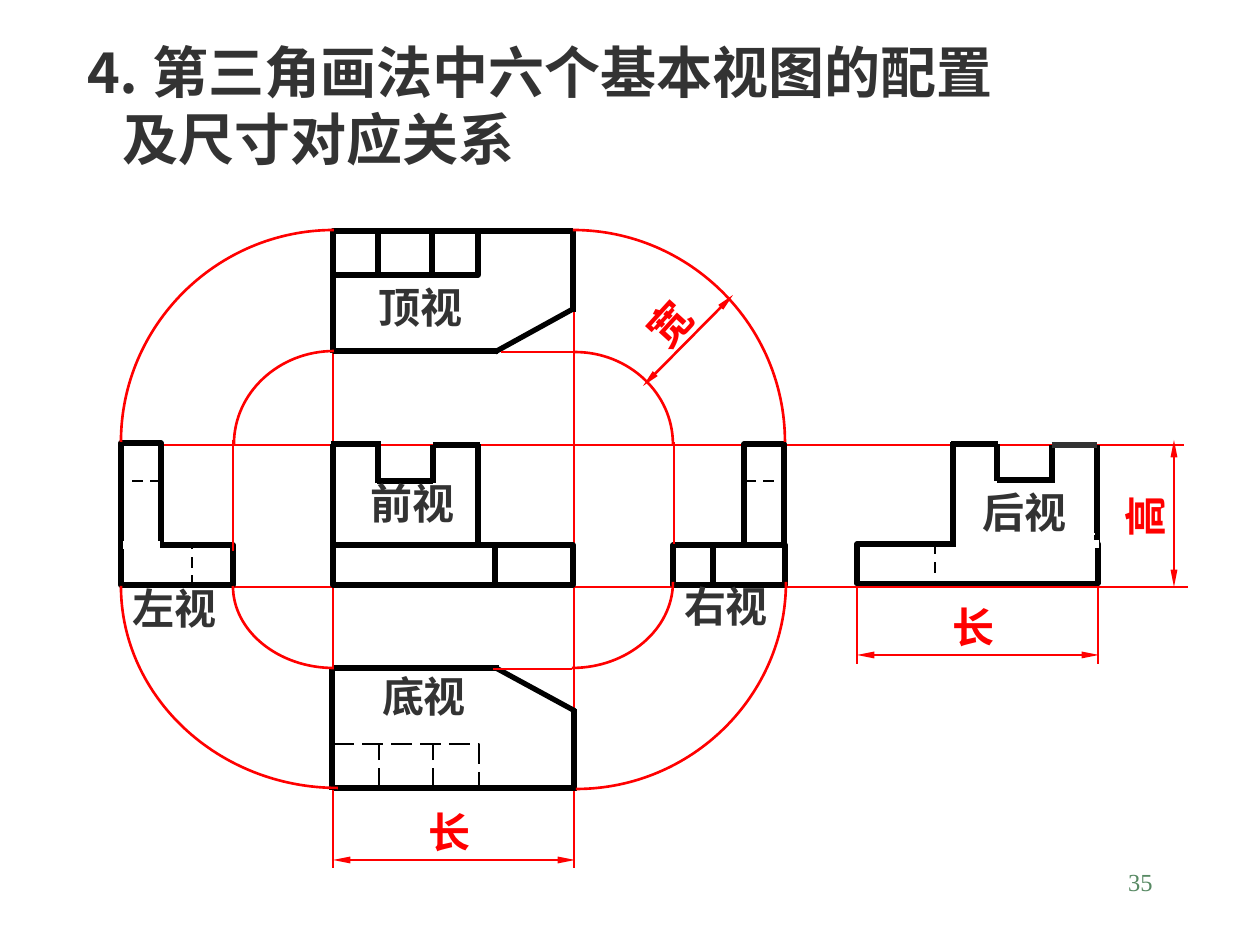
from lxml import etree
from pptx import Presentation
from pptx import util as u
from pptx.dml.color import RGBColor
from pptx.enum import dml, shapes, text
from pptx.oxml.ns import qn

PX = 914400 / 126
BEND = 0.55
DASHES = {"dash": dml.MSO_LINE.DASH, "long": dml.MSO_LINE.LONG_DASH}


def px(n):
    """Turn px into EMU."""
    return u.Emu(round(n * PX))


def rgb(value):
    """Turn a hex string into a colour."""
    return RGBColor.from_string(value)


class Drawing:
    """Hold the style and the current slide."""

    red, black, white, ink, green = "FF0000", "000000", "FFFFFF", "333333", "578963"
    thin, thick, mask = 1.5, 3, 4.5

    def __init__(self, slide):
        """Start drawing on a slide."""
        self.shapes = slide.shapes

    def stroke(self, sp, color, width, dash=None):
        """Set the line of a shape."""
        sp.line.color.rgb = rgb(color)
        formats = {"width": u.Pt(width), "dash_style": DASHES.get(dash)}
        for name, value in formats.items():
            setattr(sp.line, name, value)

    def line(self, x1, y1, x2, y2, color=black, width=thick, dash=None, arrows=False):
        """Draw a straight line, with arrowheads at both ends if asked."""
        sp = self.shapes.add_connector(
            shapes.MSO_CONNECTOR.STRAIGHT, px(x1), px(y1), px(x2), px(y2))
        self.stroke(sp, color, width, dash)
        if arrows:
            ln = sp.line._get_or_add_ln()
            for end in ("a:headEnd", "a:tailEnd"):
                etree.SubElement(ln, qn(end), type="triangle", w="sm", len="lg")
        etree.SubElement(sp._element.spPr, qn("a:effectLst"))

    def lines(self, ends, **style):
        """Draw several lines in one style."""
        for end in ends:
            self.line(*end, **style)

    def rect(self, x, y, w, h, width=thick, dash=None):
        """Draw an unfilled rectangle."""
        sp = self.shapes.add_shape(
            shapes.MSO_SHAPE.RECTANGLE, px(x), px(y), px(w), px(h))
        sp.shadow.inherit = False
        sp.fill.background()
        self.stroke(sp, self.black, width, dash)

    def arc(self, cx, cy, rx, ry):
        """Draw a quarter ellipse; the signs of the radii choose the quadrant."""
        controls = [(BEND, 1), (1, BEND), (1, 0)]
        builder = self.shapes.build_freeform(px(cx), px(cy + ry))
        builder.add_line_segments(
            [(px(cx + rx * i), px(cy + ry * j)) for i, j in controls], close=False)
        sp = builder.convert_to_shape()
        segments = list(sp._element.iter(qn("a:lnTo")))
        curve = etree.SubElement(segments[0].getparent(), qn("a:cubicBezTo"))
        for segment in segments:
            curve.append(segment[0])
            segment.getparent().remove(segment)
        sp.shadow.inherit = False
        sp.fill.background()
        self.stroke(sp, self.red, self.thin)

    def font(self, p, color, size, bold=True, name="Times New Roman"):
        """Format the text of a paragraph."""
        formats = {"size": u.Pt(size), "bold": bold, "name": name}
        for key, value in formats.items():
            setattr(p.font, key, value)
        p.font.color.rgb = rgb(color)

    def label(self, words, x, y, w=67, color=red, rotation=0):
        """Write a centred bold label."""
        sp = self.shapes.add_textbox(px(x), px(y), px(w), px(63))
        sp.rotation = rotation
        tf = sp.text_frame
        formats = {"text": words, "word_wrap": False,
                   "vertical_anchor": text.MSO_ANCHOR.MIDDLE,
                   "auto_size": text.MSO_AUTO_SIZE.SHAPE_TO_FIT_TEXT}
        for name, value in formats.items():
            setattr(tf, name, value)
        p = tf.paragraphs[0]
        p.alignment = text.PP_ALIGN.CENTER
        self.font(p, color, 24)

    def title(self, first, second):
        """Place the two-line title, its second line indented."""
        sp = self.shapes.title
        box = {"left": px(71), "top": px(31), "width": px(1055), "height": px(147)}
        for name, value in box.items():
            setattr(sp, name, value)
        tf = sp.text_frame
        tf.text = f"{first}\n{second}"
        tf.vertical_anchor = text.MSO_ANCHOR.MIDDLE
        tf.word_wrap = True
        tf.paragraphs[1]._p.get_or_add_pPr().set("marL", str(px(39)))
        for p in tf.paragraphs:
            p.alignment = text.PP_ALIGN.LEFT
            p.line_spacing = u.Pt(38.4)
            self.font(p, self.ink, 32, name="Noto Sans CJK SC")

    def page_number(self, number):
        """Write the page number."""
        sp = self.shapes.add_textbox(px(903), px(861), px(262), px(63))
        sp.text_frame.word_wrap = True
        p = sp.text_frame.paragraphs[0]
        p.text = number
        p.alignment = text.PP_ALIGN.RIGHT
        self.font(p, self.green, 14, bold=False)


def main():
    """Build the slide."""
    prs = Presentation()
    prs.slide_width, prs.slide_height = px(1260), px(945)
    s = Drawing(prs.slides.add_slide(prs.slide_layouts[5]))
    red = {"color": s.red, "width": s.thin}
    dashed = {"width": s.thin, "dash": "dash"}
    hidden = {"width": s.thin, "dash": "long"}

    s.title("⒋ 第三角画法中六个基本视图的配置", "及尺寸对应关系")
    s.page_number("35")

    extensions = [(857, 581, 857, 664), (1098, 585, 1098, 664),
                  (333, 352, 333, 868), (574, 309, 574, 868),
                  (229, 587, 1188, 587), (160, 445, 1184, 445)]
    s.lines(extensions, **red)
    dimensions = [(857, 655, 1099, 655), (333, 860, 575, 860), (1174, 440, 1174, 587)]
    s.lines(dimensions, arrows=True, **red)

    front = [(377, 481, 433, 481), (333, 546, 333, 444), (331, 444, 381, 444),
             (378, 444, 378, 483), (433, 445, 433, 483), (433, 445, 480, 445),
             (478, 444, 478, 546), (495, 546, 495, 587)]
    s.rect(333, 545, 240, 40)
    s.lines(front)

    top = [(333, 232, 333, 353), (333, 351, 498, 351), (333, 231, 573, 231),
           (573, 231, 573, 312), (573, 309, 495, 352),
           (432, 231, 432, 275), (378, 231, 378, 275)]
    s.rect(333, 231, 145, 44)
    s.lines(top)

    s.rect(673, 545, 112, 40)
    s.rect(744, 444, 40, 102)
    s.line(713, 586, 713, 547)
    s.line(745, 481, 785, 481, **dashed)

    bottom = [(332, 790, 332, 669), (334, 668, 499, 668), (334, 788, 575, 788),
              (574, 791, 574, 709), (575, 711, 496, 668)]
    s.lines(bottom)
    s.rect(334, 744, 145, 44, **hidden)
    s.lines([(x, 789, x, 745) for x in (433, 379)], **hidden)

    s.rect(121, 545, 112, 40)
    s.rect(121, 443, 40, 102)
    s.lines([(192, 586, 192, 547), (161, 481, 121, 481)], **dashed)
    s.line(123, 545, 160, 545, color=s.white, width=s.mask)

    rear = [(1053, 480, 997, 480), (1097, 544, 1097, 445), (1052, 445, 1052, 483),
            (997, 444, 997, 481), (998, 444, 951, 444), (953, 442, 953, 544)]
    s.rect(857, 544, 241, 40)
    s.lines(rear)
    s.line(935, 544, 935, 586, **dashed)
    s.line(956, 544, 1099, 544, color=s.white, width=s.mask)
    s.line(958, 534, 1101, 534, color=s.white, **hidden)

    views = [("左视", 119, 576, 111), ("右视", 671, 574, 110), ("前视", 357, 471, 111),
             ("顶视", 359, 275, 123), ("底视", 369, 664, 110), ("后视", 970, 480, 110)]
    for view in views:
        s.label(*view, color=s.ink)

    links = [(233, 551, 233, 440), (674, 544, 674, 442),
             (493, 669, 572, 669), (501, 352, 573, 352)]
    s.lines(links, **red)
    arcs = [(334, 586, -101, 82), (338, 586, -217, 202), (576, 582, 210, 207),
            (575, 444, 98, -92), (573, 442, 212, -212), (334, 444, -100, -93),
            (334, 442, -213, -212), (572, 582, 101, 86)]
    for arc in arcs:
        s.arc(*arc)
    s.line(643, 386, 733, 295, arrows=True, **red)

    s.label("长", 940, 595)
    s.label("长", 416, 800)
    s.label("高", 1111, 485, rotation=270)
    s.label("宽", 636, 292, rotation=312.2)
    s.line(1052, 445, 1097, 445, color=s.ink)

    prs.save("out.pptx")


if __name__ == "__main__":
    main()
